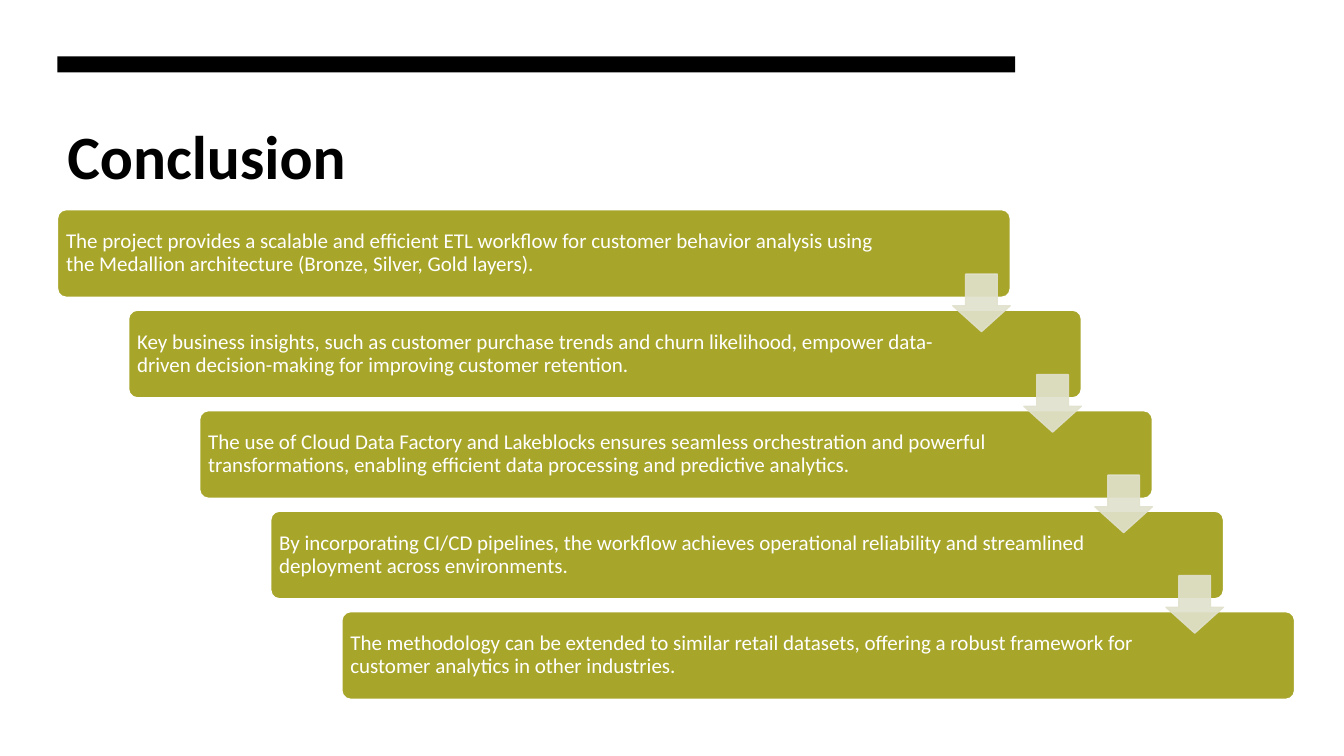
from dataclasses import dataclass

from lxml.etree import SubElement
from pptx import Presentation
from pptx.dml.color import RGBColor
from pptx.enum.shapes import MSO_SHAPE
from pptx.enum.text import MSO_ANCHOR
from pptx.oxml.ns import qn
from pptx.util import Inches, Pt


@dataclass(frozen=True)
class Theme:
    font: str = "Calibri"
    ink: RGBColor = RGBColor(0x00, 0x00, 0x00)
    paper: RGBColor = RGBColor(0xFF, 0xFF, 0xFF)
    step: RGBColor = RGBColor(0xA8, 0xA6, 0x2A)
    arrow: RGBColor = RGBColor(0xE1, 0xE1, 0xCD)
    title_size: Pt = Pt(44)
    step_size: Pt = Pt(15)


THEME = Theme()

LEFT = 0.57
STEP_TOP, STEP_WIDTH, STEP_HEIGHT = 2.08, 9.45, 0.87
SHIFT_RIGHT, SHIFT_DOWN = 0.705, 0.997
ARROW_SIZE = 0.57

CONCLUSIONS = [
    "The project provides a scalable and efficient ETL workflow for customer behavior "
    "analysis using the Medallion architecture (Bronze, Silver, Gold layers).",
    "Key business insights, such as customer purchase trends and churn likelihood, "
    "empower data-driven decision-making for improving customer retention.",
    "The use of Cloud Data Factory and Lakeblocks ensures seamless orchestration and "
    "powerful transformations, enabling efficient data processing and predictive analytics.",
    "By incorporating CI/CD pipelines, the workflow achieves operational reliability and "
    "streamlined deployment across environments.",
    "The methodology can be extended to similar retail datasets, offering a robust "
    "framework for customer analytics in other industries.",
]


def add_block(slide, preset, left, top, width, height, fill, line=None, adjustments=()):
    block = slide.shapes.add_shape(
        preset, Inches(left), Inches(top), Inches(width), Inches(height))
    block.shadow.inherit = False
    block.fill.solid()
    block.fill.fore_color.rgb = fill
    if line is None:
        block.line.fill.background()
    else:
        block.line.color.rgb = line
        block.line.width = Pt(1)
    for index, value in enumerate(adjustments):
        block.adjustments[index] = value
    return block


def add_text(slide, text, left, top, width, height, size, color, insets,
             anchor=MSO_ANCHOR.TOP, bold=False):
    """Add a wrapped text box; insets are (horizontal, vertical) in inches."""
    box = slide.shapes.add_textbox(
        Inches(left), Inches(top), Inches(width), Inches(height))
    frame = box.text_frame
    frame.word_wrap = True
    frame.vertical_anchor = anchor
    frame.margin_left = frame.margin_right = Inches(insets[0])
    frame.margin_top = frame.margin_bottom = Inches(insets[1])
    para = frame.paragraphs[0]
    para.text = text
    para.font.name = THEME.font
    para.font.size = size
    para.font.bold = bold
    para.font.color.rgb = color
    return para


def make_translucent(shape, percent):
    """Set the opacity of the shape's fill and line."""
    for color in shape.element.spPr.iter(qn("a:srgbClr")):
        SubElement(color, qn("a:alpha")).set("val", str(percent * 1000))


def add_step(slide, index, text):
    left = LEFT + index * SHIFT_RIGHT
    top = STEP_TOP + index * SHIFT_DOWN
    add_block(slide, MSO_SHAPE.ROUNDED_RECTANGLE, left, top, STEP_WIDTH, STEP_HEIGHT,
              THEME.step, THEME.paper, [0.1])
    text_width = 8.41 if index == 0 else 8.13
    para = add_text(slide, text, left + 0.025, top + 0.025, text_width, 0.82,
                    THEME.step_size, THEME.paper, (0.06, 0.06), MSO_ANCHOR.MIDDLE)
    para.line_spacing = 0.9


def add_step_arrow(slide, index):
    """Add the arrow from one step down to the next."""
    left = LEFT + STEP_WIDTH - ARROW_SIZE + index * SHIFT_RIGHT
    top = STEP_TOP + 0.64 + index * SHIFT_DOWN
    arrow = add_block(slide, MSO_SHAPE.DOWN_ARROW, left, top, ARROW_SIZE, ARROW_SIZE,
                      THEME.arrow, THEME.arrow, [0.55, 0.45])
    make_translucent(arrow, 90)


def main():
    deck = Presentation()
    deck.slide_width, deck.slide_height = Inches(13.33), Inches(7.5)
    slide = deck.slides.add_slide(deck.slide_layouts[6])
    slide.background.fill.solid()
    slide.background.fill.fore_color.rgb = THEME.paper

    add_text(slide, "Conclusion", LEFT, 1.07, 9.5, 1.6, THEME.title_size, THEME.ink,
             (0.1, 0.1), bold=True)
    add_block(slide, MSO_SHAPE.RECTANGLE, LEFT, 0.56, 9.5, 0.16, THEME.ink)
    for index, text in enumerate(CONCLUSIONS):
        add_step(slide, index, text)
    for index in range(len(CONCLUSIONS) - 1):
        add_step_arrow(slide, index)

    deck.save("out.pptx")


if __name__ == "__main__":
    main()
